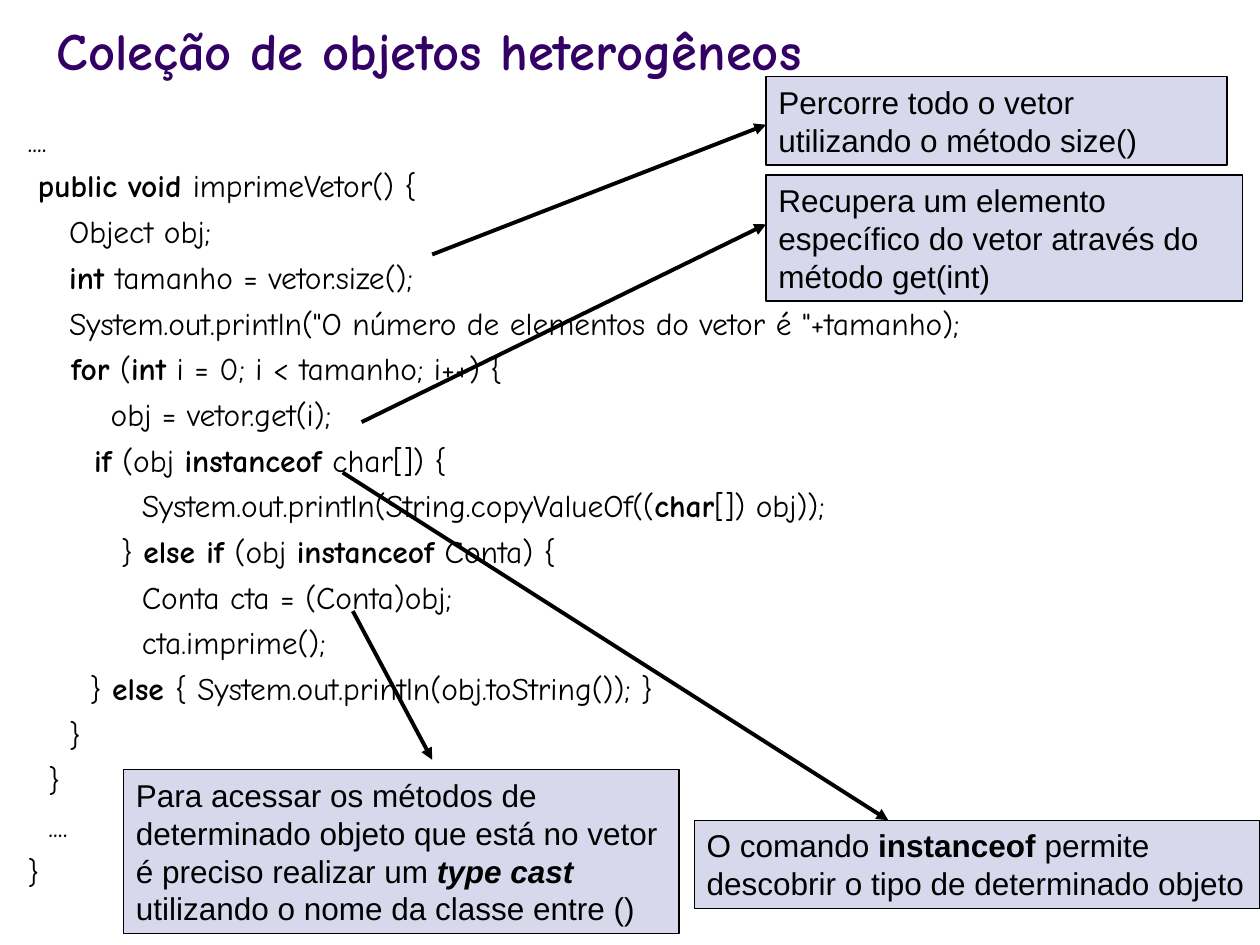
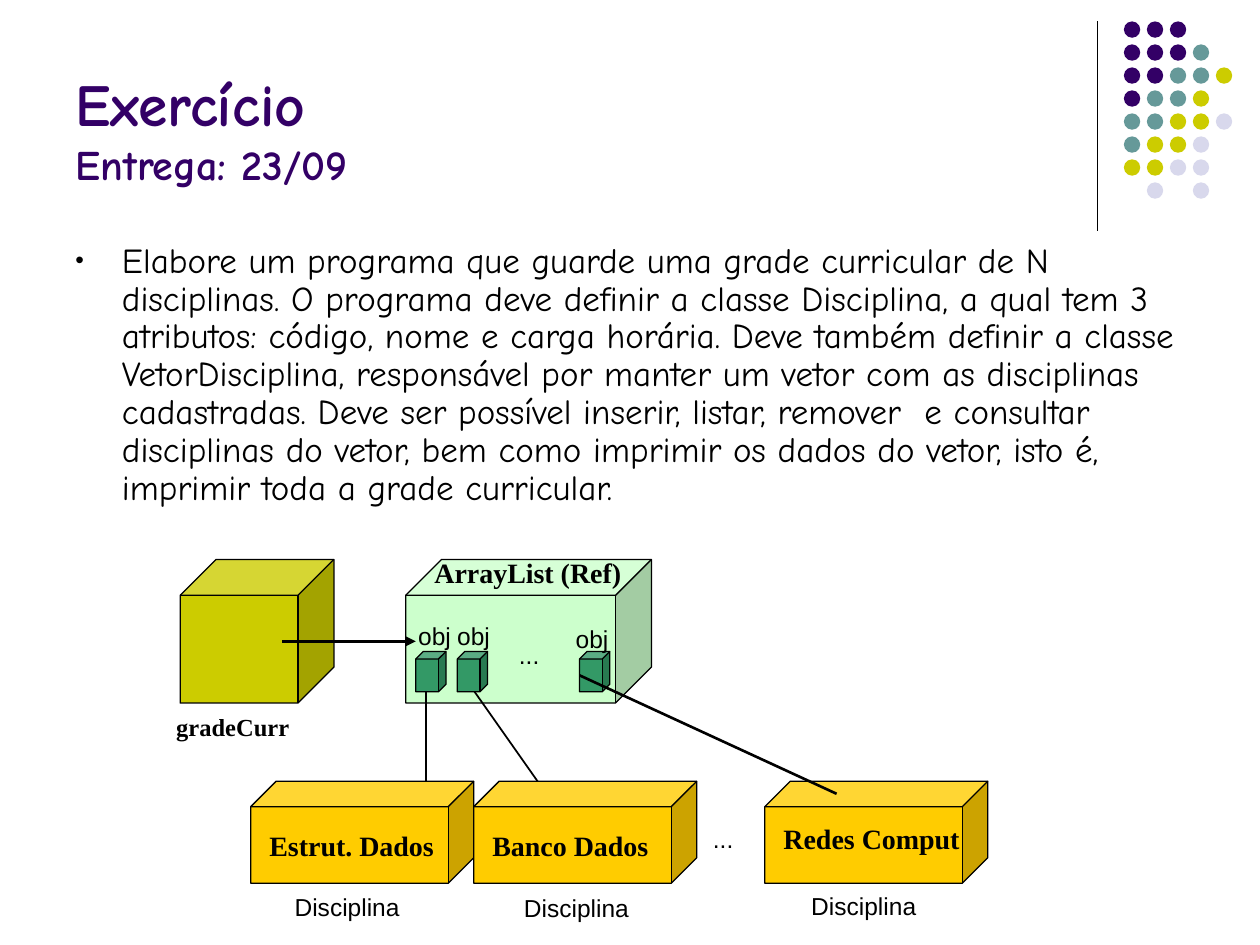
from pptx import Presentation
from pptx.dml.color import RGBColor
from pptx.enum.shapes import MSO_CONNECTOR as CONNECTOR, MSO_SHAPE as SHAPE
from pptx.enum.text import MSO_ANCHOR as ANCHOR, MSO_AUTO_SIZE as AUTO_SIZE, PP_ALIGN as ALIGN
from pptx.oxml.ns import qn
from pptx.util import Inches, Pt
from lxml.etree import SubElement

BLACK = RGBColor(0x00, 0x00, 0x00)
PURPLE = RGBColor(0x33, 0x00, 0x66)
TEAL = RGBColor(0x66, 0x99, 0x99)
OLIVE = RGBColor(0xCC, 0xCC, 0x00)
LAVENDER = RGBColor(0xD8, 0xD8, 0xEC)
MINT = RGBColor(0xCC, 0xFF, 0xCC)
GREEN = RGBColor(0x33, 0x99, 0x66)
GOLD = RGBColor(0xFF, 0xCC, 0x00)

COMIC, SANS, SERIF = "Comic Neue", "Arial", "Times New Roman"
TITLE_FONT = {"name": COMIC, "bold": True}
CODE_FONT = {"name": COMIC, "size": Pt(18)}
BODY_FONT = {"name": COMIC, "size": Pt(20)}
CALLOUT_FONT = {"name": SANS, "size": Pt(18)}
LABEL_FONT = {"name": SANS, "size": Pt(14)}
NAME_FONT = {"name": SERIF, "size": Pt(16), "bold": True}
VARIABLE_FONT = {**NAME_FONT, "size": Pt(14)}

OUTLINE = 0.74
ONE_SPACE = 0.33 / 4
DOT_COLOURS = {"P": PURPLE, "T": TEAL, "O": OLIVE, "L": LAVENDER}
DOT_ROWS = ["PPP", "PPPT", "PPTTO", "PTTO", "TTOOL", "TOOL", "OOLL", " L L"]

# Each code line: indent in spaces, then the text with **bold** parts.
CODE = [
    (0, "...."),
    (1, "**public void **imprimeVetor() {"),
    (4, "Object obj;"),
    (4, "**int **tamanho = vetor.size();"),
    (4, 'System.out.println("O número de elementos do vetor é "+tamanho);'),
    (4.2, "**for** (**int** i = 0; i < tamanho; i++) {"),
    (8, "obj = vetor.get(i);"),
    (6.4, "**if** (obj **instanceof** char[]) {"),
    (11, "System.out.println(String.copyValueOf((**char**[]) obj));"),
    (9, "} **else if** (obj **instanceof** Conta) {"),
    (11, "Conta cta = (Conta)obj;"),
    (11, "cta.imprime();"),
    (6, "} **else **{ System.out.println(obj.toString()); }"),
    (4, "}"),
    (2, "}"),
    (2, "...."),
    (0, "}"),
]

# Each callout: box, text, then the start and end of its arrow.
CALLOUTS = [
    ((6.08, 0.61, 3.66, 0.7), "Percorre todo o vetor utilizando o método size()",
     (3.43, 2.02), (6.08, 0.99)),
    ((5.51, 6.51, 4.49, 0.7),
     "O comando **instanceof **permite descobrir o tipo de determinado objeto",
     (2.72, 3.75), (7.05, 6.51)),
    ((0.98, 6.11, 4.41, 1.3),
     "Para acessar os métodos de determinado objeto que está no vetor é preciso "
     "realizar um **/type cast **utilizando o nome da classe entre ()",
     (2.8, 4.85), (3.43, 6.03)),
    ((6.08, 1.39, 3.78, 1),
     "Recupera um elemento específico do vetor através do método get(int)",
     (2.87, 3.35), (6.08, 1.78)),
]

EXERCISE = (
    "Elabore um programa que guarde uma grade curricular de N disciplinas. O programa "
    "deve definir a classe Disciplina, a qual tem 3 atributos: código, nome e carga "
    "horária. Deve também definir a classe VetorDisciplina, responsável por manter um "
    "vetor com as disciplinas cadastradas. Deve ser possível inserir, listar, remover  e "
    "consultar disciplinas do vetor, bem como imprimir os dados do vetor, isto é, "
    "imprimir toda a grade curricular."
)

# Each subject: cube left, name, name top, left and top of the caption.
SUBJECTS = [
    (6.07, "Redes Comput", 6.47, 6.34, 7.02),
    (1.99, "Estrut. Dados", 6.53, 2.24, 7.03),
    (3.76, "Banco Dados", 6.53, 4.06, 7.04),
]


def apply_format(target, values):
    """Set every attribute named in a dict of format values."""
    for name, value in values.items():
        setattr(target, name, value)


def add_run(paragraph, text, font, colour=BLACK):
    """Append one formatted run."""
    run = paragraph.add_run()
    run.text = text
    apply_format(run.font, font)
    run.font.color.rgb = colour


def write_rich(paragraph, text, font):
    """Write text whose **parts** are bold; a part led by a slash is also italic."""
    for index, part in enumerate(text.split("**")):
        if not part:
            continue
        if index % 2:
            italic = part.startswith("/")
            add_run(paragraph, part.lstrip("/"), {**font, "bold": True, "italic": italic})
        else:
            add_run(paragraph, part, font)
    paragraph.alignment = ALIGN.LEFT


def add_title(slide, box, lines):
    """Place the title placeholder and fill it with (text, size) lines."""
    title = slide.shapes.title
    places = dict(zip(("left", "top", "width", "height"), map(Inches, box)))
    apply_format(title, places)
    apply_format(title.text_frame, {"vertical_anchor": ANCHOR.BOTTOM, "word_wrap": True,
                                    "auto_size": AUTO_SIZE.NONE})
    paragraph = title.text_frame.paragraphs[0]
    paragraph.alignment = ALIGN.LEFT
    for index, (text, size) in enumerate(lines):
        if index:
            paragraph.add_line_break()
        add_run(paragraph, text, {**TITLE_FONT, "size": Pt(size)}, PURPLE)


def add_text(slide, box, text, font):
    """Add a text box with one paragraph and return that paragraph."""
    frame = slide.shapes.add_textbox(*map(Inches, box)).text_frame
    frame.word_wrap = True
    paragraph = frame.paragraphs[0]
    write_rich(paragraph, text, font)
    return paragraph


def add_solid(shapes, kind, box, colour, outlined=True):
    """Add a filled preset shape, with or without a thin black outline."""
    shape = shapes.add_shape(kind, *map(Inches, box))
    shape.shadow.inherit = False
    shape.fill.solid()
    shape.fill.fore_color.rgb = colour
    if outlined:
        shape.line.color.rgb = BLACK
        shape.line.width = Pt(OUTLINE)
    else:
        shape.line.fill.background()
    return shape


def add_line(slide, start, end, width, arrow=False):
    """Add a straight black line, with an arrowhead at its end if asked."""
    line = slide.shapes.add_connector(CONNECTOR.STRAIGHT, *map(Inches, start + end))
    line.line.color.rgb = BLACK
    line.line.width = Pt(width)
    if arrow:
        SubElement(line._element.spPr.find(qn("a:ln")), qn("a:tailEnd"), type="triangle")
    SubElement(line._element.spPr, qn("a:effectLst"))


def add_callout(slide, box, text, start, end):
    """Add a lavender note and the arrow that ties it to the code."""
    frame = add_solid(slide.shapes, SHAPE.RECTANGLE, box, LAVENDER).text_frame
    apply_format(frame, {"word_wrap": True, "vertical_anchor": ANCHOR.TOP})
    write_rich(frame.paragraphs[0], text, CALLOUT_FONT)
    add_line(slide, start, end, 2.24, arrow=True)


def add_code(slide, box):
    """Add the code listing, one paragraph a line."""
    frame = slide.shapes.add_textbox(*map(Inches, box)).text_frame
    frame.word_wrap = True
    for index, (spaces, text) in enumerate(CODE):
        paragraph = frame.add_paragraph() if index else frame.paragraphs[0]
        write_rich(paragraph, text, CODE_FONT)
        paragraph.space_before = Pt(4.5)
        paragraph._p.get_or_add_pPr().set("marL", str(Inches(spaces * ONE_SPACE)))


def add_bullet(paragraph):
    """Give the paragraph a small round bullet and a hanging indent."""
    paragraph.line_spacing = 0.9
    properties = paragraph._p.get_or_add_pPr()
    properties.set("marL", str(Inches(0.37)))
    properties.set("indent", str(-Inches(0.37)))
    SubElement(properties, qn("a:buSzPct"), val="70000")
    SubElement(properties, qn("a:buFont"), typeface=SANS)
    SubElement(properties, qn("a:buChar"), char="•")


def add_dot_band(slide):
    """Draw the corner rule and its grid of coloured dots."""
    add_line(slide, (8.71, 0.17), (8.71, 1.83), OUTLINE)
    group = slide.shapes.add_group_shape()
    pitch = (9.65 - 8.92) / 4
    for row, letters in enumerate(DOT_ROWS):
        for column, letter in enumerate(letters):
            if letter in DOT_COLOURS:
                box = (8.92 + column * pitch, 0.17 + row * pitch, 0.13, 0.13)
                add_solid(group.shapes, SHAPE.OVAL, box, DOT_COLOURS[letter], outlined=False)


def add_cube(slide, box, colour):
    """Add a cube with an outline."""
    add_solid(slide.shapes, SHAPE.CUBE, box, colour)


def add_subject(slide, left, name, name_top, caption_left, caption_top):
    """Add a gold cube with its subject name and class caption."""
    add_cube(slide, (left, 6.2, 1.77, 0.81), GOLD)
    add_text(slide, (left + 0.05, name_top, 1.7, 0.37), name, NAME_FONT)
    add_text(slide, (caption_left, caption_top, 1.2, 0.34), "Disciplina", LABEL_FONT)


def build_collection_slide(slide):
    """Code listing with four callouts."""
    add_title(slide, (0.35, 0.05, 8.4, 0.64), [("Coleção de objetos heterogêneos", 30)])
    add_code(slide, (0.12, 0.91, 9.65, 6.14))
    for callout in CALLOUTS:
        add_callout(slide, *callout)


def build_exercise_slide(slide):
    """Exercise text with the diagram of the list and its objects."""
    add_dot_band(slide)
    add_title(slide, (0.5, 0.13, 8.25, 1.42), [("Exercício", 34), ("Entrega: 23/09", 24)])
    add_bullet(add_text(slide, (0.5, 1.88, 9.23, 2.26), EXERCISE, BODY_FONT))

    add_cube(slide, (1.43, 4.44, 1.22, 1.14), OLIVE)
    add_text(slide, (1.3, 5.6, 1.2, 0.34), "gradeCurr", VARIABLE_FONT)
    add_cube(slide, (3.22, 4.44, 1.95, 1.14), MINT)
    add_text(slide, (3.35, 4.36, 1.8, 0.37), "ArrayList (Ref)", NAME_FONT)

    add_line(slide, (3.38, 5.41), (3.38, 6.3), 0.99)
    add_line(slide, (3.71, 5.41), (4.28, 6.22), 0.99)
    for left in (3.3, 3.63, 4.6):
        add_cube(slide, (left, 5.17, 0.24, 0.32), GREEN)
    for subject in SUBJECTS:
        add_subject(slide, *subject)
    add_line(slide, (4.6, 5.36), (6.64, 6.3), 1.5)

    for left, top in ((3.22, 4.88), (3.53, 4.88), (4.47, 4.9)):
        add_text(slide, (left, top, 0.55, 0.34), "obj", LABEL_FONT)
    for left, top in ((4.02, 5.03), (5.56, 6.49)):
        add_text(slide, (left, top, 0.45, 0.34), "...", LABEL_FONT)
    add_line(slide, (2.24, 5.09), (3.3, 5.09), 1.5, arrow=True)


def main():
    """Build and save the presentation."""
    presentation = Presentation()
    apply_format(presentation, {"slide_width": Inches(10), "slide_height": Inches(7.5)})
    title_only = presentation.slide_layouts[5]
    for build in (build_collection_slide, build_exercise_slide):
        build(presentation.slides.add_slide(title_only))
    presentation.save("out.pptx")


main()
